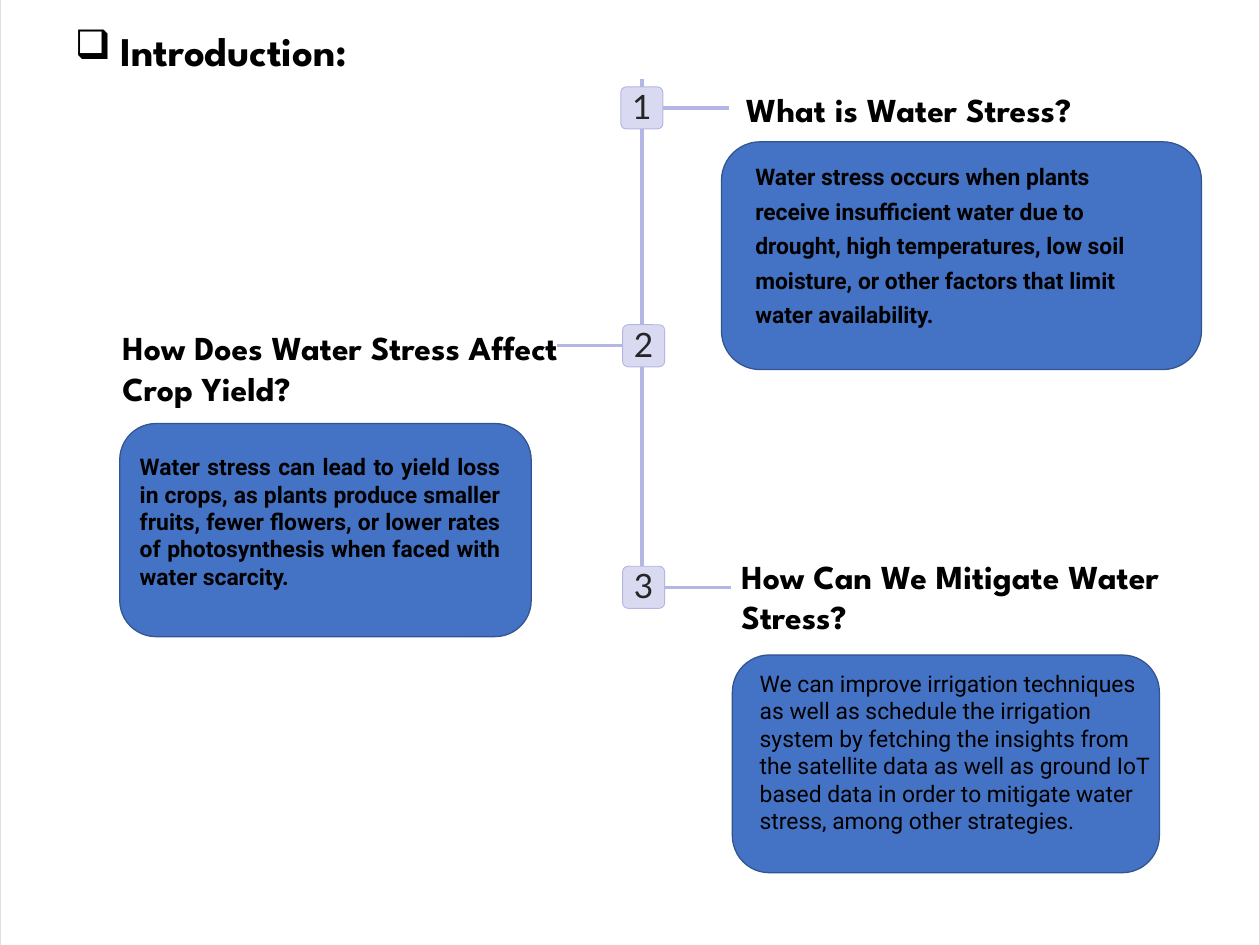
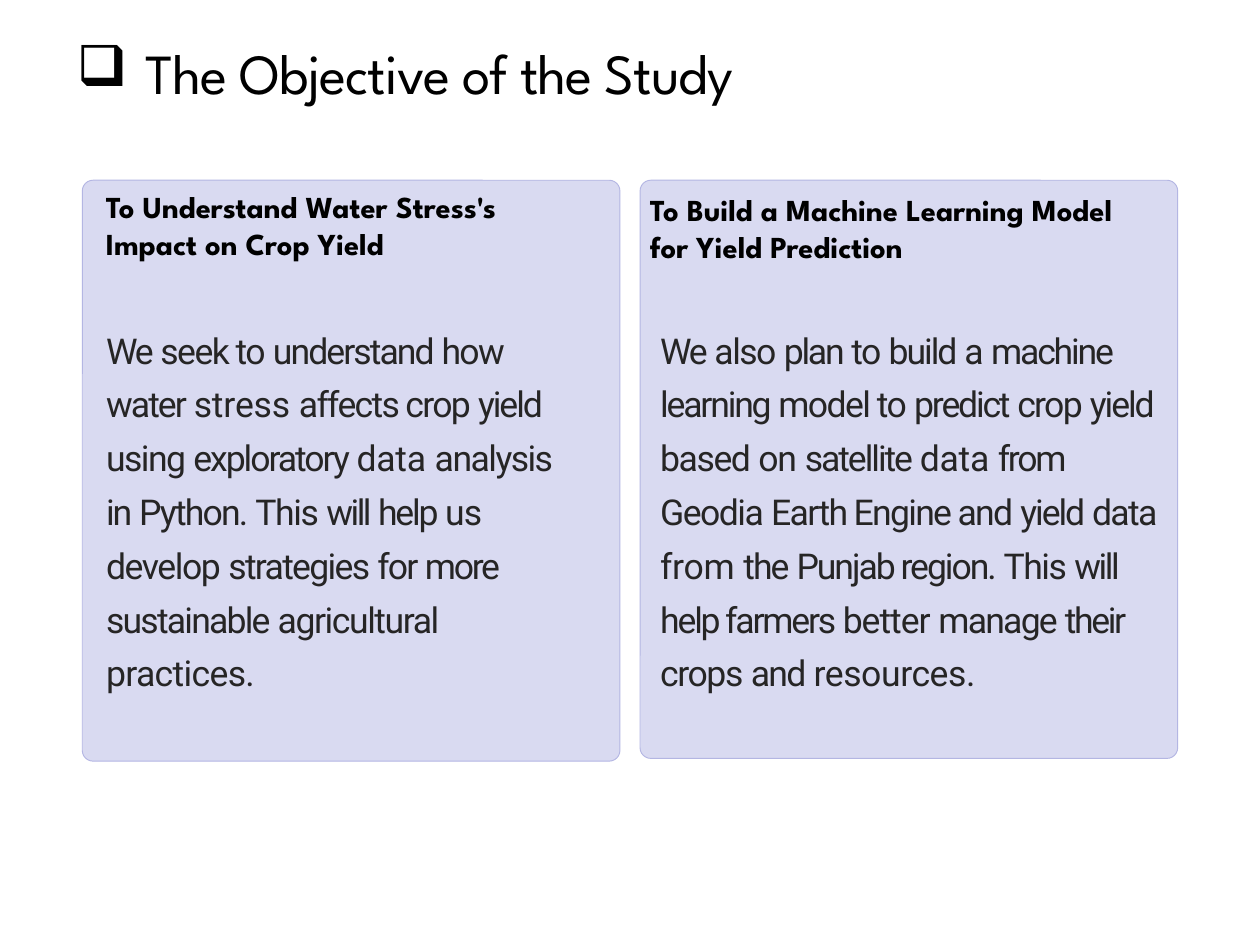
from dataclasses import dataclass, field
from typing import Any, NamedTuple

from lxml import etree
from pptx import Presentation
from pptx import util as u
from pptx.dml.color import RGBColor
from pptx.enum import shapes, text
from pptx.oxml.ns import qn

PX = 9144  # 100 px to the inch
PAGE_W, PAGE_H = 1378, 1033
BADGE = 46
BRANCH = 72


@dataclass(frozen=True)
class Theme:
    ink: str = "000000"
    soft_ink: str = "262525"
    blue: str = "4472C4"
    blue_edge: str = "325491"
    lilac: str = "D9DAF1"
    lilac_edge: str = "B4B6E3"
    border: str = "E4DFDE"
    head: str = "League Spartan"
    body: str = "Roboto"
    number: str = "Lato"
    bullet_font: str = "Wingdings"
    bullet: str = "q"
    title_size: float = 32
    big_title_size: float = 44.6
    topic_size: float = 26.4
    card_head_size: float = 24
    card_size: float = 28
    note_size: float = 18


T = Theme()


class Box(NamedTuple):
    x: int
    y: int
    w: int
    h: int


class Piece(NamedTuple):
    words: str
    spacing: float = 0  # points between letters


@dataclass(frozen=True)
class Style:
    font: str
    size: float
    color: str = T.ink
    bold: bool = False
    margins: tuple[int, int, int, int] = (10, 5, 10, 5)
    anchor: Any = text.MSO_ANCHOR.TOP
    para: dict[str, Any] = field(default_factory=dict)
    hang: tuple[int, int] | None = None  # left margin and indent of a bullet


@dataclass(frozen=True)
class Topic:
    badge: tuple[int, int]
    side: int  # 1 branches right, -1 branches left
    head: str
    head_box: Box
    panel: Box
    note: str
    note_box: Box
    note_style: Style


@dataclass(frozen=True)
class Card:
    panel: Box
    head: str
    head_box: Box
    body: list[tuple[str, float]]
    body_box: Box


# Text styles
TITLE = Style(T.head, T.title_size, bold=True, hang=(50, -50))
BIG_TITLE = Style(T.head, T.big_title_size, margins=(0, 2, 0, 0),
                  anchor=text.MSO_ANCHOR.MIDDLE, para={"line_spacing": 0.9},
                  hang=(77, -75))
TOPIC_HEAD = Style(T.head, T.topic_size, bold=True)
CARD_HEAD = Style(T.head, T.card_head_size, bold=True)
CARD_BODY = Style(T.body, T.card_size, T.soft_ink, margins=(2, 5, 0, 0),
                  para={"line_spacing": 1.26})
NUMBER = Style(T.number, T.topic_size, T.soft_ink, margins=(0, 0, 0, 4),
               anchor=text.MSO_ANCHOR.MIDDLE,
               para={"alignment": text.PP_ALIGN.CENTER})
NOTE = Style(T.body, T.note_size)
NOTE_OPEN = Style(T.body, T.note_size, bold=True, margins=(2, 1, 0, 0),
                  para={"line_spacing": 1.26})
NOTE_JUSTIFIED = Style(T.body, T.note_size, bold=True,
                       para={"alignment": text.PP_ALIGN.JUSTIFY})

# Content
TOPICS = [
    Topic((679, 95), 1, "What is Water Stress?", Box(806, 92, 544, 55),
          Box(789, 155, 525, 249),
          "Water stress occurs when plants receive insufficient water due to "
          "drought, high temperatures, low soil moisture, or other factors "
          "that limit water availability.",
          Box(824, 169, 424, 188), NOTE_OPEN),
    Topic((681, 355), -1, "How Does Water Stress Affect Crop Yield?",
          Box(124, 353, 509, 144), Box(131, 463, 450, 233),
          "Water stress can lead to yield loss in crops, as plants produce "
          "smaller fruits, fewer flowers, or lower rates of photosynthesis "
          "when faced with water scarcity.",
          Box(143, 490, 414, 162), NOTE_JUSTIFIED),
    Topic((681, 619), 1, "How Can We Mitigate Water Stress?",
          Box(801, 603, 525, 99), Box(801, 716, 467, 238),
          "We can improve irrigation techniques as well as schedule the "
          "irrigation system by fetching the insights from the satellite data "
          "as well as ground IoT based data in order to mitigate water "
          "stress, among other strategies.",
          Box(821, 727, 451, 222), NOTE),
]

CARDS = [
    Card(Box(90, 197, 588, 635),
         "To Understand Water Stress's Impact on Crop Yield",
         Box(106, 201, 533, 91),
         [("We ", -1.7), ("seek to ", -1.2), ("understand ", -1.5),
          ("how ", -1.3), ("water ", -1.5), ("stress ", -0.1),
          ("affects crop ", -1.3), ("yield ", -1.6), ("using ", -1.2),
          ("exploratory ", -1.6), ("data ", -0.2), ("analysis ", -1.2),
          ("in ", -1.6), ("Python. ", -1.4), ("This ", -1.1),
          ("will ", -1.9), ("help ", -1.7), ("us ", -0.7),
          ("develop ", -1.1), ("strategies ", -1.3), ("for", -1.4),
          (" more ", -1.8), ("sustainable ", -1.4),
          ("agricultural ", -1.1), ("practices.", -0.5)],
         Box(114, 342, 511, 415)),
    Card(Box(700, 197, 588, 632),
         "To Build a Machine Learning Model for Yield Prediction",
         Box(701, 204, 572, 91),
         [("We ", -1.7), ("also ", -1.2), ("plan ", -1.7), ("to ", -1.2),
          ("build ", -1.6), ("a ", -1), ("machine learning ", -1.7),
          ("model to ", -1.2), ("predict ", -1.7), ("crop ", -1.3),
          ("yield ", -1.6), ("based ", -1.1), ("on ", -0.9),
          ("satellite ", -1.6), ("data ", -0.2), ("from ", -1.8),
          ("Geodia ", -1.2), ("Earth Engine and ", -1.3), ("yield ", -1.6),
          ("data ", -1.3), ("from ", -0.2), ("the ", -1.5),
          ("Punjab region. ", -1.6), ("This ", -1.1), ("will ", -1.9),
          ("help farmers ", -1.7), ("better ", -0.8), ("manage ", -1.4),
          ("their ", -1.8), ("crops ", -1.1), ("and ", -1.3),
          ("resources.", -0.3)],
         Box(720, 342, 562, 415)),
]


def emu(*lengths: int) -> list[int]:
    return [n * PX for n in lengths]


def rgb(color: str) -> RGBColor:
    return RGBColor.from_string(color)


def apply(target: Any, values: dict[str, Any]) -> None:
    for name, value in values.items():
        setattr(target, name, value)


def write(sp: Any, pieces: list[Piece], st: Style) -> None:
    """Put one styled paragraph into a shape."""
    tf = sp.text_frame
    sides = ("margin_left", "margin_top", "margin_right", "margin_bottom")
    apply(tf, {"word_wrap": True, "vertical_anchor": st.anchor,
               **dict(zip(sides, emu(*st.margins)))})
    p = tf.paragraphs[0]
    if st.hang:
        pPr = p._p.get_or_add_pPr()
        for name, value in zip(("marL", "indent"), emu(*st.hang)):
            pPr.set(name, str(value))
        etree.SubElement(pPr, qn("a:buFont")).set("typeface", T.bullet_font)
        etree.SubElement(pPr, qn("a:buChar")).set("char", T.bullet)
    apply(p, {"alignment": text.PP_ALIGN.LEFT, **st.para})
    for piece in pieces:
        r = p.add_run()
        r.text = piece.words
        apply(r.font, {"name": st.font, "size": u.Pt(st.size),
                       "bold": st.bold})
        r.font.color.rgb = rgb(st.color)
        if piece.spacing:
            r._r.get_or_add_rPr().set("spc", str(round(piece.spacing * 100)))


def label(s: Any, box: Box, pieces: list[Piece], st: Style) -> None:
    write(s.shapes.add_textbox(*emu(*box)), pieces, st)


def outline(sp: Any, color: str, width: float) -> None:
    sp.line.color.rgb = rgb(color)
    sp.line.width = u.Pt(width)


def panel(s: Any, box: Box, fill: str, edge: str, width: float,
          corner: float) -> Any:
    sp = s.shapes.add_shape(shapes.MSO_SHAPE.ROUNDED_RECTANGLE, *emu(*box))
    sp.adjustments[0] = corner
    sp.shadow.inherit = False
    sp.fill.solid()
    sp.fill.fore_color.rgb = rgb(fill)
    outline(sp, edge, width)
    return sp


def rule(s: Any, x1: int, y1: int, x2: int, y2: int, width: float) -> None:
    cx = s.shapes.add_connector(shapes.MSO_CONNECTOR.STRAIGHT,
                                *emu(x1, y1, x2, y2))
    outline(cx, T.lilac_edge, width)
    etree.SubElement(cx._element.spPr, qn("a:effectLst"))


def page_edges(s: Any) -> None:
    left, right, bottom = emu(1, PAGE_W - 1, PAGE_H)
    fb = s.shapes.build_freeform(left, 0)
    fb.add_line_segments([(left, bottom)], close=False)
    fb.move_to(right, 0)
    fb.add_line_segments([(right, bottom)], close=False)
    sp = fb.convert_to_shape()
    sp.shadow.inherit = False
    sp.fill.background()
    outline(sp, T.border, 0.75)


def draw_topic(s: Any, number: int, topic: Topic) -> None:
    x, y = topic.badge
    middle = y + BADGE // 2
    start = x + BADGE if topic.side > 0 else x
    panel(s, topic.panel, T.blue, T.blue_edge, 1, 0.17)
    rule(s, start, middle, start + topic.side * BRANCH, middle, 2.5)
    badge = panel(s, Box(x, y, BADGE, BADGE), T.lilac, T.lilac_edge, 0.75, 0.13)
    write(badge, [Piece(str(number))], NUMBER)
    label(s, topic.head_box, [Piece(topic.head)], TOPIC_HEAD)
    label(s, topic.note_box, [Piece(topic.note)], topic.note_style)


def draw_card(s: Any, card: Card) -> None:
    panel(s, card.panel, T.lilac, T.lilac_edge, 0.75, 0.02)
    label(s, card.body_box, [Piece(*pair) for pair in card.body], CARD_BODY)
    label(s, card.head_box, [Piece(card.head)], CARD_HEAD)


def introduction(s: Any) -> None:
    page_edges(s)
    # Timeline
    rule(s, 702, 86, 702, 664, 3.6)
    for number, topic in enumerate(TOPICS, 1):
        draw_topic(s, number, topic)
    label(s, Box(72, 23, 413, 64), [Piece("Introduction:")], TITLE)


def objective(s: Any) -> None:
    label(s, Box(82, 48, 892, 69), [Piece("The Objective of the Study", -0.8)],
          BIG_TITLE)
    for card in CARDS:
        draw_card(s, card)


def main() -> None:
    prs = Presentation()
    prs.slide_width, prs.slide_height = emu(PAGE_W, PAGE_H)
    for build in (introduction, objective):
        build(prs.slides.add_slide(prs.slide_layouts[6]))
    prs.save("out.pptx")


if __name__ == "__main__":
    main()
